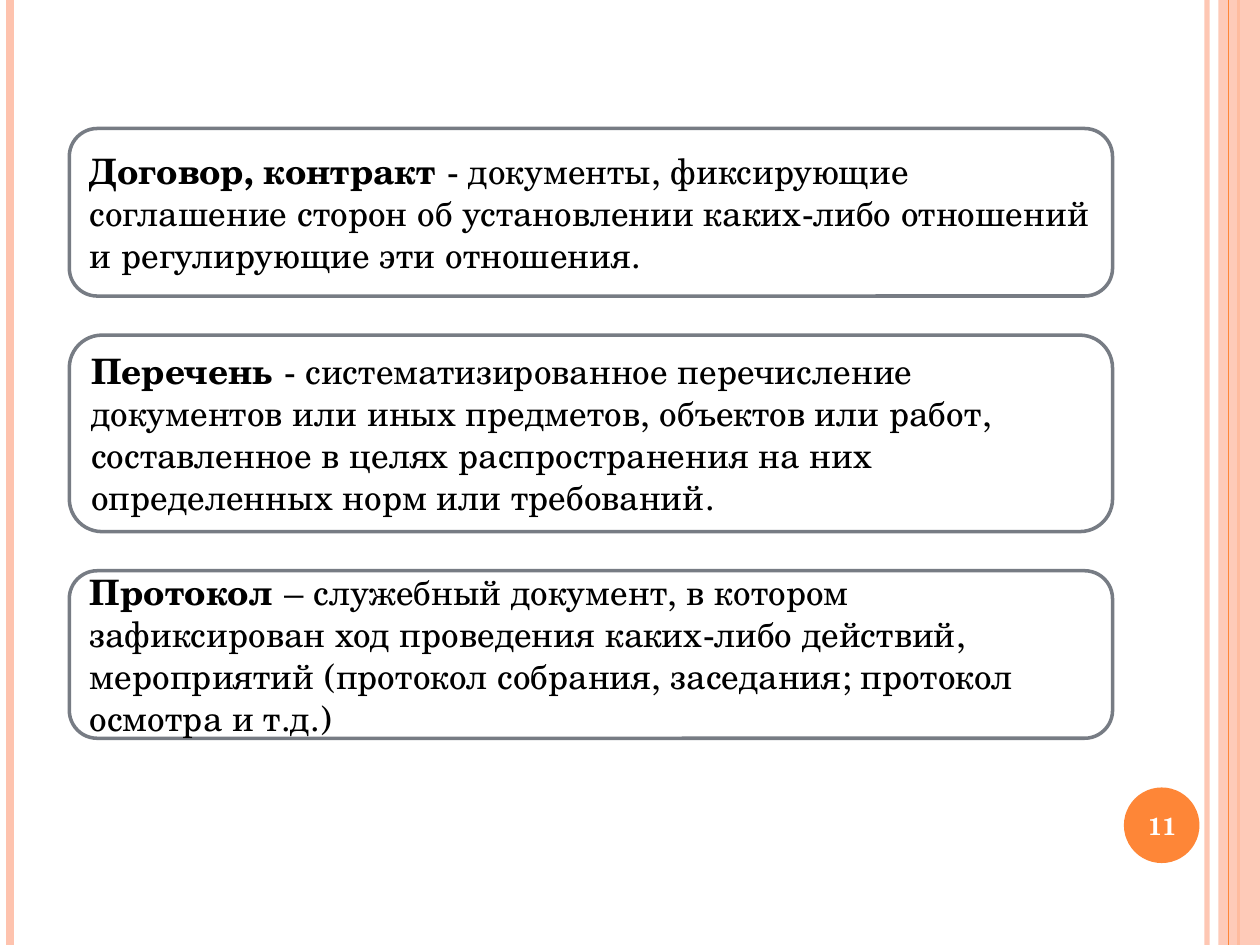
from typing import NamedTuple

from lxml import etree
from pptx import Presentation
from pptx.dml.color import RGBColor
from pptx.enum.shapes import MSO_CONNECTOR, MSO_SHAPE
from pptx.enum.text import MSO_ANCHOR, PP_ALIGN
from pptx.oxml.ns import qn
from pptx.util import Inches, Pt

STRAIGHT = MSO_CONNECTOR.STRAIGHT
RECTANGLE, OVAL = MSO_SHAPE.RECTANGLE, MSO_SHAPE.OVAL
ROUNDED = MSO_SHAPE.ROUNDED_RECTANGLE
LEFT, CENTER = PP_ALIGN.LEFT, PP_ALIGN.CENTER
MIDDLE = MSO_ANCHOR.MIDDLE

FONT = "TeX Gyre Schola"
COLORS = {"white": "FFFFFF", "black": "000000", "peach": "FEC3AE",
          "orange": "FE8637", "gray": "777C84"}
SLIDE_WIDTH, SLIDE_HEIGHT = 10, 7.5
CARD_LEFT, CARD_TOP, CARD_WIDTH, CARD_GAP = 0.55, 1.02, 8.28, 0.31


class Stripe(NamedTuple):
    x: float
    color: str
    weight: float
    opacity: int = 100


class Definition(NamedTuple):
    term: str
    meaning: str
    height: float


OUTER_STRIPES = [Stripe(9.58, "peach", 3, 93), Stripe(0.08, "peach", 4.5),
                 Stripe(9.83, "orange", 1.5)]
BAND_STRIPE = Stripe(9.75, "orange", 0.75)

DEFINITIONS = [
    Definition("Договор, контракт",
               "\u00a0- документы, фиксирующие соглашение сторон об установлении "
               "каких-либо отношений и регулирующие эти отношения.", 1.33),
    Definition("Перечень",
               "\u00a0- систематизированное перечисление документов или иных "
               "предметов, объектов или работ, составленное в целях "
               "распространения на них определенных норм или требований.", 1.56),
    Definition("Протокол",
               "\u00a0– служебный документ, в котором зафиксирован ход проведения "
               "каких-либо действий, мероприятий (протокол собрания, заседания; "
               "протокол осмотра и т.д.)", 1.33),
]


def rgb(name: str) -> RGBColor:
    return RGBColor.from_string(COLORS[name])


def set_opacity(shape, percent: int) -> None:
    color = next(shape._element.spPr.iter(qn("a:srgbClr")))
    etree.SubElement(color, qn("a:alpha")).set("val", str(percent * 1000))


def add_stripe(slide, stripe: Stripe) -> None:
    line = slide.shapes.add_connector(STRAIGHT, Inches(stripe.x), Inches(0),
                                      Inches(stripe.x), Inches(SLIDE_HEIGHT))
    line.line.color.rgb = rgb(stripe.color)
    line.line.width = Pt(stripe.weight)
    if stripe.opacity < 100:
        set_opacity(line, stripe.opacity)
    etree.SubElement(line._element.spPr, qn("a:effectLst"))


def add_figure(slide, kind, left: float, top: float, width: float,
               height: float, fill: str, outline: str = ""):
    figure = slide.shapes.add_shape(kind, Inches(left), Inches(top),
                                    Inches(width), Inches(height))
    figure.shadow.inherit = False
    figure.fill.solid()
    figure.fill.fore_color.rgb = rgb(fill)
    if outline:
        figure.line.color.rgb = rgb(outline)
        figure.line.width = Pt(2)
    else:
        figure.line.fill.background()
    return figure


def add_text(paragraph, text: str, *, size: int = 20, color: str = "black",
             bold: bool = False, align=LEFT) -> None:
    paragraph.alignment = align
    run = paragraph.add_run()
    run.text = text
    run.font.name = FONT
    run.font.size = Pt(size)
    run.font.bold = bold
    run.font.color.rgb = rgb(color)


def add_definition(slide, definition: Definition, top: float) -> None:
    card = add_figure(slide, ROUNDED, CARD_LEFT, top, CARD_WIDTH,
                      definition.height, "white", "gray")
    frame = card.text_frame
    frame.word_wrap = True
    frame.vertical_anchor = MIDDLE
    add_text(frame.paragraphs[0], definition.term, bold=True)
    add_text(frame.paragraphs[0], definition.meaning)


def add_page_number(slide, number: str) -> None:
    add_figure(slide, OVAL, 8.92, 6.25, 0.6, 0.6, "orange")
    label = slide.shapes.add_textbox(Inches(8.89), Inches(6.27),
                                     Inches(0.67), Inches(0.57))
    label.text_frame.word_wrap = True
    label.text_frame.vertical_anchor = MIDDLE
    add_text(label.text_frame.paragraphs[0], number, size=14, color="white",
             bold=True, align=CENTER)


prs = Presentation()
prs.slide_width, prs.slide_height = Inches(SLIDE_WIDTH), Inches(SLIDE_HEIGHT)
slide = prs.slides.add_slide(prs.slide_layouts[6])  # blank: no title here

# Side stripes and the right-hand band
for stripe in OUTER_STRIPES:
    add_stripe(slide, stripe)
band = add_figure(slide, RECTANGLE, 9.67, 0, 0.33, SLIDE_HEIGHT, "peach")
set_opacity(band, 87)
add_stripe(slide, BAND_STRIPE)

add_page_number(slide, "11")

# Definition cards, stacked with equal gaps
card_top = CARD_TOP
for definition in DEFINITIONS:
    add_definition(slide, definition, card_top)
    card_top += definition.height + CARD_GAP

prs.save("out.pptx")
